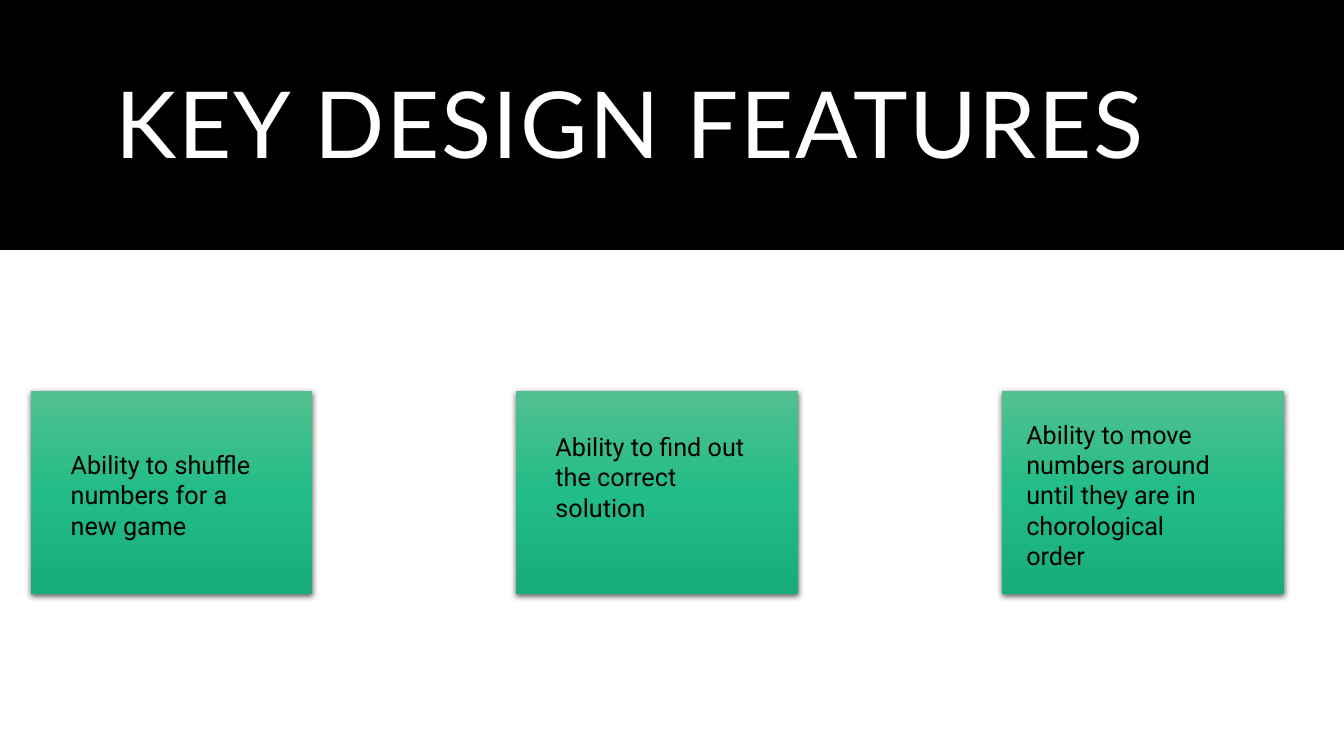
from lxml.etree import fromstring
from pptx import Presentation
from pptx.dml.color import RGBColor
from pptx.enum.shapes import MSO_SHAPE
from pptx.enum.text import MSO_ANCHOR, MSO_AUTO_SIZE, PP_ALIGN
from pptx.util import Pt

# Content
TITLE = "KEY DESIGN FEATURES"
FEATURES = [  # text, left offset inside card, top, height
    ("Ability to shuffle numbers for a new game", 21.6, 317.5, 72.7),
    ("Ability to find out the correct solution", 21, 304.6, 72.7),
    ("Ability to move numbers around until they are in chorological order", 10.4, 295.9, 94.3),
]

# Layout and style, in points
SLIDE_W, SLIDE_H = 960, 540
BAND_H = 178.5
CARD_LEFT, CARD_TOP, CARD_W, CARD_H, CARD_STEP = 21.8, 279.4, 201.4, 145, 346.9
TEXT_W = 153.4
GRADIENT = [(0, "52C092"), (50, "22BC86"), (100, "18AD79")]
TITLE_FONT = {"name": "Lato", "size": Pt(66)}
BODY_FONT = {"name": "Roboto", "size": Pt(18)}
NS = 'xmlns:a="http://schemas.openxmlformats.org/drawingml/2006/main"'


def rgb(value):
    return RGBColor.from_string(value)


def write(tf, text, font, color):
    tf.word_wrap = True
    p = tf.paragraphs[0]
    p.alignment = PP_ALIGN.LEFT
    r = p.add_run()
    r.text = text
    for name, value in font.items():
        setattr(r.font, name, value)
    r.font.color.rgb = rgb(color)
    return p, r


def add_rect(s, left, top, width, height):
    sp = s.shapes.add_shape(MSO_SHAPE.RECTANGLE, Pt(left), Pt(top), Pt(width), Pt(height))
    sp.shadow.inherit = False
    sp.line.fill.background()
    return sp


def add_card(s, left):
    sp = add_rect(s, left, CARD_TOP, CARD_W, CARD_H)
    stops = "".join(f'<a:gs pos="{pos * 1000}"><a:srgbClr val="{color}"/></a:gs>'
                    for pos, color in GRADIENT)
    props = sp.element.spPr
    props.prstGeom.addnext(fromstring(
        f'<a:gradFill {NS} rotWithShape="1"><a:gsLst>{stops}</a:gsLst>'
        '<a:lin ang="5400000" scaled="0"/></a:gradFill>'))
    props.effectLst.append(fromstring(
        f'<a:outerShdw {NS} blurRad="{Pt(4.5)}" dist="{Pt(1.5)}" dir="5400000" '
        'algn="ctr" rotWithShape="0"><a:srgbClr val="000000">'
        '<a:alpha val="63000"/></a:srgbClr></a:outerShdw>'))


def main():
    prs = Presentation()
    prs.slide_width, prs.slide_height = Pt(SLIDE_W), Pt(SLIDE_H)
    s = prs.slides.add_slide(prs.slide_layouts[5])

    # Title on a black band
    title = s.shapes.title
    band = add_rect(s, 0, 0, SLIDE_W, BAND_H)
    band.fill.solid()
    band.fill.fore_color.rgb = rgb("000000")
    title.element.addprevious(band.element)
    title.left, title.top, title.width, title.height = Pt(75.6), Pt(25.2), Pt(808.6), Pt(133.9)
    tf = title.text_frame
    tf.auto_size = MSO_AUTO_SIZE.NONE
    tf.vertical_anchor = MSO_ANCHOR.MIDDLE
    p, r = write(tf, TITLE, TITLE_FONT, "FFFFFF")
    p.line_spacing = 0.9
    r.font.element.set("spc", "120") if hasattr(r.font, "element") else r.font._element.set("spc", "120")

    # Feature cards with their text
    for i, (text, offset, top, height) in enumerate(FEATURES):
        left = CARD_LEFT + i * CARD_STEP
        add_card(s, left)
        box = s.shapes.add_textbox(Pt(left + offset), Pt(top), Pt(TEXT_W), Pt(height))
        box.text_frame.auto_size = MSO_AUTO_SIZE.SHAPE_TO_FIT_TEXT
        write(box.text_frame, text, BODY_FONT, "000000")

    prs.save("out.pptx")


if __name__ == "__main__":
    main()
